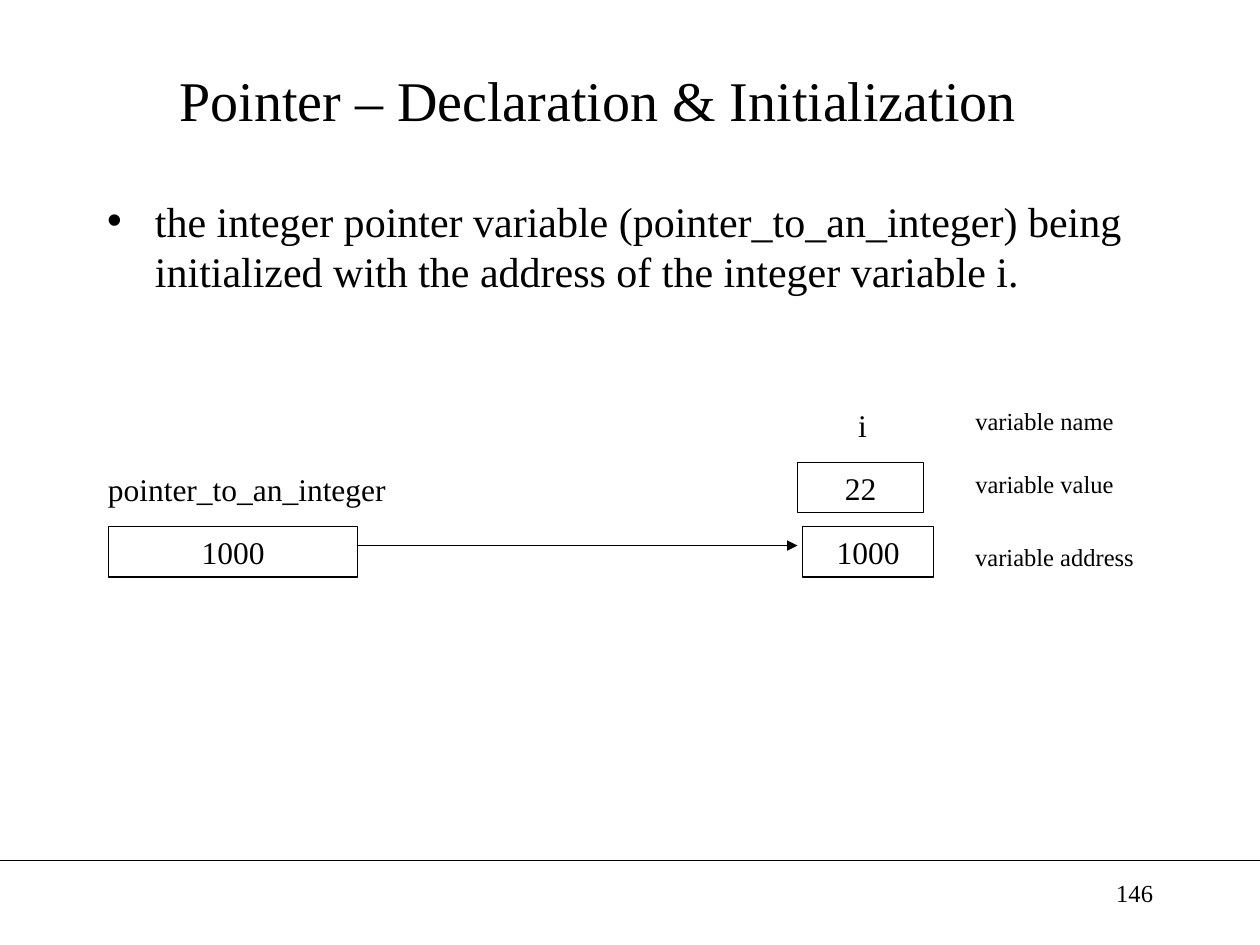
from lxml import etree
from pptx import Presentation
from pptx.dml.color import RGBColor
from pptx.enum.shapes import MSO_CONNECTOR, MSO_SHAPE
from pptx.enum.text import MSO_ANCHOR, MSO_AUTO_SIZE, PP_ALIGN
from pptx.oxml.ns import qn
from pptx.util import Inches, Pt

BLACK = RGBColor(0, 0, 0)
WHITE = RGBColor(255, 255, 255)
FONT = "Times New Roman"
LEFT, CENTER, RIGHT = PP_ALIGN.LEFT, PP_ALIGN.CENTER, PP_ALIGN.RIGHT
TOP, MIDDLE = MSO_ANCHOR.TOP, MSO_ANCHOR.MIDDLE
NO_AUTOFIT = MSO_AUTO_SIZE.NONE
RECTANGLE = MSO_SHAPE.RECTANGLE
STRAIGHT = MSO_CONNECTOR.STRAIGHT

CELL_HEIGHT = 0.4
LABEL_SIZE = 14


def place(shape, box):
    shape.left, shape.top, shape.width, shape.height = map(Inches, box)


def write(shape, text, size=18, align=CENTER, anchor=MIDDLE, wrap=True, bullet=None):
    tf = shape.text_frame
    tf.text = text
    tf.word_wrap = wrap
    tf.auto_size = NO_AUTOFIT
    tf.vertical_anchor = anchor
    p = tf.paragraphs[0]
    p.alignment = align
    p.space_before = Pt(0)
    if bullet:
        pPr = p._p.get_or_add_pPr()
        pPr.set("marL", str(Inches(0.38)))
        pPr.set("indent", str(-Inches(0.38)))
        etree.SubElement(pPr, qn("a:buChar")).set("char", bullet)
    font = p.runs[0].font
    font.name, font.size = FONT, Pt(size)
    font.color.rgb = BLACK


def add_label(s, box, text, **fmt):
    write(s.shapes.add_textbox(*map(Inches, box)), text, **fmt)


def add_cell(s, box, text):
    cell = s.shapes.add_shape(RECTANGLE, *map(Inches, box))
    cell.shadow.inherit = False
    cell.fill.background()
    cell.line.color.rgb = BLACK
    cell.line.width = Pt(0.75)
    write(cell, text)


def add_line(s, x1, y1, x2, y2, arrow=False):
    line = s.shapes.add_connector(STRAIGHT, *map(Inches, (x1, y1, x2, y2)))
    line.line.color.rgb = BLACK
    line.line.width = Pt(0.75)
    if arrow:
        ln = line.line._get_or_add_ln()
        etree.SubElement(ln, qn("a:tailEnd")).set("type", "triangle")
    etree.SubElement(line._element.spPr, qn("a:effectLst"))


def fill_title(s, box):
    place(s.shapes.title, box)
    write(s.shapes.title, "Pointer – Declaration & Initialization", size=32)


def fill_body(s, box):
    body = s.placeholders[1]
    place(body, box)
    write(body, "the integer pointer variable (pointer_to_an_integer) being "
          "initialized with the address of the integer variable i.",
          size=24, align=LEFT, anchor=TOP, bullet="•")


def add_pointer(s, x, y, width):
    add_label(s, (x - 0.48, y, 3.16, CELL_HEIGHT), "pointer_to_an_integer", wrap=False)
    add_cell(s, (x, y + 0.5, width, CELL_HEIGHT), "1000")


def add_variable(s, x, y):
    add_label(s, (x + 0.15, y, 0.73, CELL_HEIGHT), "i")
    add_cell(s, (x, y + 0.5, 1, CELL_HEIGHT), "22")
    add_cell(s, (x + 0.04, y + 1.01, 1.04, CELL_HEIGHT), "1000")


def add_legend(s, x, y):
    for dx, dy, part in ((0, 0, "name"), (0, 0.5, "value"), (0.08, 1.08, "address")):
        add_label(s, (x + dx, y + dy, 1.58, 0.34), f"variable {part}",
                  size=LABEL_SIZE, anchor=TOP)


def add_footer(s, y):
    add_line(s, 0, y, 10, y)
    add_label(s, (7.17, y + 0.09, 2.08, 0.5), "146",
              size=LABEL_SIZE, align=RIGHT, anchor=TOP)


def main():
    prs = Presentation()
    prs.slide_width, prs.slide_height = Inches(10), Inches(7.5)
    s = prs.slides.add_slide(prs.slide_layouts[1])
    s.background.fill.solid()
    s.background.fill.fore_color.rgb = WHITE
    fill_title(s, (0.5, 0.25, 8.5, 1.08))
    fill_body(s, (0.75, 1.5, 8.5, 5.17))
    add_variable(s, 6.33, 3.17)
    add_pointer(s, 0.86, 3.68, 1.98)
    add_line(s, 2.83, 4.33, 6.33, 4.33, arrow=True)
    add_legend(s, 7.5, 3.17)
    add_footer(s, 6.83)
    prs.save("out.pptx")


if __name__ == "__main__":
    main()
